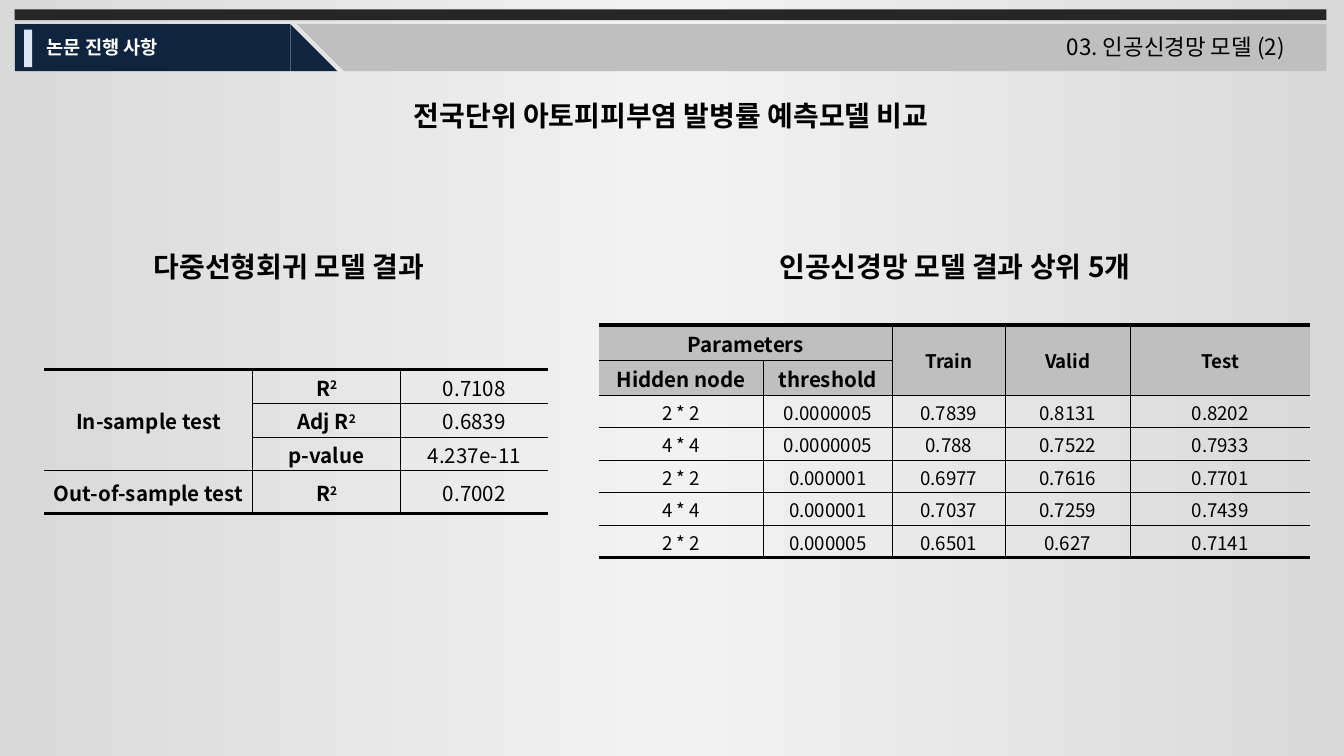
import copy

import pptx
import pptx.util
import pptx.dml.color
import pptx.enum.shapes
import pptx.enum.text
import pptx.oxml.ns
import lxml.etree

Inches, Pt = pptx.util.Inches, pptx.util.Pt
SHAPE = pptx.enum.shapes.MSO_SHAPE
ALIGN = pptx.enum.text.PP_ALIGN
ANCHOR = pptx.enum.text.MSO_ANCHOR
qn = pptx.oxml.ns.qn

FONT = "Noto Sans CJK KR"
NAVY, GREY, BLACK, WHITE = "0F243E", "BFBFBF", "000000", "FFFFFF"
THIN, THICK = 0.28, 2.25
PLAIN_STYLE = "{2D5ABB26-0587-4C30-8999-92F81FD0307C}"

REGRESSION = [
    ["In-sample test", "R^2", "0.7108"],
    ["", "Adj R^2", "0.6839"],
    ["", "p-value", "4.237e-11"],
    ["Out-of-sample test", "R^2", "0.7002"],
]
NETWORK = [
    ["Parameters", "", "Train", "Valid", "Test"],
    ["Hidden node", "threshold", "", "", ""],
    ["2 * 2", "0.0000005", "0.7839", "0.8131", "0.8202"],
    ["4 * 4", "0.0000005", "0.788", "0.7522", "0.7933"],
    ["2 * 2", "0.000001", "0.6977", "0.7616", "0.7701"],
    ["4 * 4", "0.000001", "0.7037", "0.7259", "0.7439"],
    ["2 * 2", "0.000005", "0.6501", "0.627", "0.7141"],
]


def rgb(color):
    return pptx.dml.color.RGBColor.from_string(color)


def style_run(r, size, bold=False, color=BLACK):
    r.font.size, r.font.bold, r.font.name = Pt(size), bold, FONT
    r.font.color.rgb = rgb(color)
    latin = r._r.get_or_add_rPr().find(qn("a:latin"))
    ea = lxml.etree.Element(qn("a:ea"), typeface=FONT)
    latin.addnext(ea)


def add_block(shapes, kind, x, y, w, h, color, flipped=False):
    sp = shapes.add_shape(kind, Inches(x), Inches(y), Inches(w), Inches(h))
    sp.shadow.inherit = False
    sp.fill.solid()
    sp.fill.fore_color.rgb = rgb(color)
    sp.line.fill.background()
    if flipped:
        for axis in ("flipH", "flipV"):
            sp.element.spPr.xfrm.set(axis, "1")


def fill_text(sp, text, size, bold=False, color=BLACK, align=ALIGN.CENTER, wrap=True):
    tf = sp.text_frame
    tf.text = text
    tf.word_wrap = wrap
    tf.vertical_anchor = ANCHOR.TOP
    tf.auto_size = pptx.enum.text.MSO_AUTO_SIZE.SHAPE_TO_FIT_TEXT
    tf.paragraphs[0].alignment = align
    style_run(tf.paragraphs[0].runs[0], size, bold, color)


def add_text(s, x, y, w, h, text, size, **look):
    sp = s.shapes.add_textbox(Inches(x), Inches(y), Inches(w), Inches(h))
    fill_text(sp, text, size, **look)


def set_background(s):
    fill = s.background.fill
    fill.gradient()
    fill.gradient_angle = 0
    first = s.element.find(".//" + qn("a:gs"))
    first.addnext(copy.deepcopy(first))
    for stop, pos, color in zip(fill.gradient_stops, (0, 0.5, 1), ("D9D9D9", "F2F2F2", "D9D9D9")):
        stop.position = pos
        stop.color.rgb = rgb(color)


def add_header(s, x, y, w):
    bar_y, bar_h, tab_w = y + 0.11, 0.35, 2.05
    add_block(s.shapes, SHAPE.RECTANGLE, x, y, w, 0.08, "262626")
    # Navy section tab with its slanted end
    add_block(s.shapes, SHAPE.RECTANGLE, x, bar_y, tab_w, bar_h, NAVY)
    add_block(s.shapes, SHAPE.RIGHT_TRIANGLE, x + tab_w, bar_y, bar_h, bar_h, NAVY)
    # Grey bar with the matching slant
    bar = s.shapes.add_group_shape()
    add_block(bar.shapes, SHAPE.RECTANGLE, x + 2.45, bar_y, w - 2.45, bar_h, GREY)
    add_block(bar.shapes, SHAPE.RIGHT_TRIANGLE, x + 2.1, bar_y, bar_h, bar_h, GREY, flipped=True)
    # Accent and labels
    add_block(s.shapes, SHAPE.RECTANGLE, x + 0.07, y + 0.15, 0.06, 0.28, "DCE6F2")
    add_text(s, x + 0.14, y + 0.15, 1.13, 0.27, "논문 진행 사항", 10,
             bold=True, color=WHITE, align=ALIGN.LEFT)
    add_text(s, x + 7.73, y + 0.13, 2.04, 0.3, "03. 인공신경망 모델 (2)", 12,
             align=ALIGN.LEFT, wrap=False)


def set_borders(cell, widths):
    tcPr = cell._tc.get_or_add_tcPr()
    for side, width in zip("LRTB", widths):
        ln = lxml.etree.SubElement(tcPr, qn("a:ln" + side), w=str(int(Pt(width))))
        if width:
            fill = lxml.etree.SubElement(ln, qn("a:solidFill"))
            lxml.etree.SubElement(fill, qn("a:srgbClr"), val=BLACK)
        else:
            lxml.etree.SubElement(ln, qn("a:noFill"))


def fill_cell(cell, text, size, bold, color):
    cell.margin_left = cell.margin_right = cell.margin_top = Inches(0.01)
    cell.margin_bottom = 0
    cell.vertical_anchor = ANCHOR.MIDDLE
    p = cell.text_frame.paragraphs[0]
    p.alignment = ALIGN.CENTER
    # A caret marks the start of a superscript
    for i, part in enumerate(text.split("^")):
        r = p.add_run()
        r.text = part
        style_run(r, size, bold)
        if i:
            r._r.get_or_add_rPr().set("baseline", "30000")
    if color:
        cell.fill.solid()
        cell.fill.fore_color.rgb = rgb(color)
    else:
        cell.fill.background()


def add_ruled_table(s, x, y, cols, rows, data, merges, look):
    frame = s.shapes.add_table(len(rows), len(cols), Inches(x), Inches(y),
                               Inches(sum(cols)), Inches(sum(rows)))
    table = frame.table
    table.first_row = table.horz_banding = False
    table._tbl.tblPr.find(qn("a:tableStyleId")).text = PLAIN_STYLE
    for col, w in zip(table.columns, cols):
        col.width = Inches(w)
    for row, h in zip(table.rows, rows):
        row.height = Inches(h)
    for start, end in merges:
        table.cell(*start).merge(table.cell(*end))
    for i, line in enumerate(data):
        for j, text in enumerate(line):
            cell = table.cell(i, j)
            if cell.is_spanned:
                continue
            at_right = j + cell.span_width == len(cols)
            at_bottom = i + cell.span_height == len(rows)
            set_borders(cell, (THIN if j else 0, 0 if at_right else THIN,
                               THIN if i else THICK, THICK if at_bottom else THIN))
            fill_cell(cell, text, *look(i, j))


def regression_look(i, j):
    return 11, j < 2, None


def network_look(i, j):
    header = i < 2
    return 11 if header and j < 2 else 10, header, GREY if header else None


def main():
    prs = pptx.Presentation()
    prs.slide_width = Inches(10)
    prs.slide_height = prs.slide_width * 9 // 16
    s = prs.slides.add_slide(prs.slide_layouts[5])
    set_background(s)
    add_header(s, 0.11, 0.07, 9.76)

    # Title
    title = s.shapes.title
    title.left, title.top = Inches(1.79), Inches(0.68)
    title.width, title.height = Inches(6.41), Inches(0.35)
    fill_text(title, "전국단위 아토피피부염 발병률 예측모델 비교", 15, bold=True)

    # Regression results
    add_text(s, 0.93, 1.81, 2.44, 0.35, "다중선형회귀 모델 결과", 15, bold=True)
    add_ruled_table(s, 0.33, 2.75, [1.55, 1.1, 1.1], [0.25] * 3 + [0.32], REGRESSION,
                    [((0, 0), (2, 0))], regression_look)

    # Neural network results
    head_h, table_h = 0.26, 1.73
    body_h = (table_h - 2 * head_h) / 5
    add_text(s, 5.53, 1.81, 3.15, 0.35, "인공신경망 모델 결과 상위 5개", 15, bold=True)
    add_ruled_table(s, 4.46, 2.42, [1.22, 0.96, 0.84, 0.93, 1.34], [head_h] * 2 + [body_h] * 5,
                    NETWORK, [((0, 0), (0, 1))] + [((0, j), (1, j)) for j in (2, 3, 4)],
                    network_look)
    prs.save("out.pptx")


if __name__ == "__main__":
    main()
